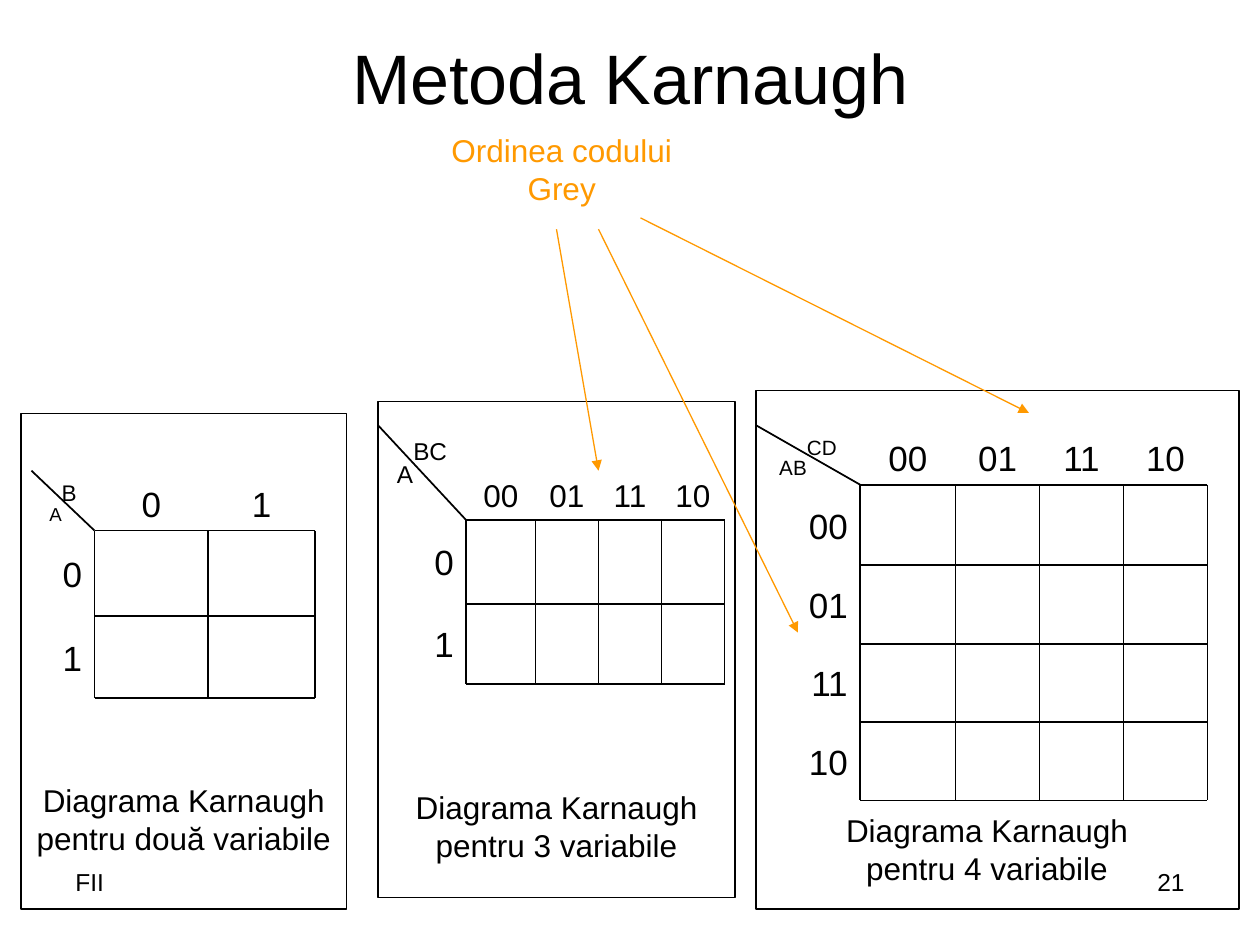
"""Build the slide on Karnaugh maps for two, three and four variables."""
from pptx import Presentation
from pptx.dml.color import RGBColor
from pptx.enum.shapes import MSO_CONNECTOR as Conn, MSO_SHAPE as Shape
from pptx.enum.text import MSO_ANCHOR as Anchor, PP_ALIGN as Align
from pptx.oxml.ns import qn
from pptx.util import Pt
from lxml.etree import SubElement

BLACK = RGBColor(0x00, 0x00, 0x00)
WHITE = RGBColor(0xFF, 0xFF, 0xFF)
ORANGE = RGBColor(0xFF, 0x99, 0x00)

deck = Presentation()
deck.slide_width, deck.slide_height = Pt(720), Pt(540)
slide = deck.slides.add_slide(deck.slide_layouts[6])
shapes = slide.shapes


def write(box, runs, align=Align.CENTER, anchor=Anchor.TOP, color=BLACK, before=0, spacing=None):
    frame = shapes.add_textbox(*map(Pt, box)).text_frame
    frame.word_wrap = True
    frame.vertical_anchor = anchor
    para = frame.paragraphs[0]
    para.alignment = align
    para.space_before = Pt(before)
    if spacing:
        para.line_spacing = spacing
    for text, size, shift in runs:
        run = para.add_run()
        run.text = text
        run.font.name = "Arial"
        run.font.size = Pt(size)
        run.font.color.rgb = color
        if shift:
            run.font._element.set("baseline", str(shift * 1000))


def draw(x1, y1, x2, y2, color=BLACK, width=1, arrow=False):
    line = shapes.add_connector(Conn.STRAIGHT, Pt(x1), Pt(y1), Pt(x2), Pt(y2))
    line.line.color.rgb = color
    line.line.width = Pt(width)
    if arrow:
        SubElement(line.line._get_or_add_ln(), qn("a:tailEnd"), type="triangle")
    SubElement(line._element.spPr, qn("a:effectLst"))


write((36, 21.6, 648, 43.9), [("Metoda Karnaugh", 40, 0)], anchor=Anchor.MIDDLE)

maps = [
    dict(frame=(216, 229.5, 204, 283.5), xs=[216, 266.4, 306, 342, 378, 414],
         ys=[243, 297.2, 345, 390.8], cols=["00", "01", "11", "10"], rows=["0", "1"],
         size=18, corner=[("A", 24, -25), ("BC", 24, 30)], spacing=None,
         note="Diagrama Karnaugh pentru 3 variabile", place=(222, 447, 192, 50.4)),
    dict(frame=(12, 236.2, 186, 283.2), xs=[18, 54, 119, 180],
         ys=[269, 303.2, 352.2, 399], cols=["0", "1"], rows=["0", "1"],
         size=20, corner=[("A", 18.5, -25), ("B", 22.2, 30)], spacing=0.9,
         note="Diagrama Karnaugh pentru două variabile", place=(12, 442.8, 186, 50.4)),
    dict(frame=(432, 223, 276, 296.5), xs=[432, 491.5, 546, 594, 642, 690],
         ys=[243, 277, 323, 367.8, 412.6, 457.4], cols=["00", "01", "11", "10"],
         rows=["00", "01", "11", "10"],
         size=20, corner=[("AB", 20.4, -25), ("CD", 20.4, 30)], spacing=0.9,
         note="Diagrama Karnaugh pentru 4 variabile", place=(450, 460, 228, 50.4)),
]

for kmap in maps:
    xs, ys = kmap["xs"], kmap["ys"]
    left, top, right, base = xs[1], ys[1], xs[-1], ys[-1]
    size = kmap["size"]
    spans = list(zip(xs[1:], xs[2:]))
    bands = list(zip(ys[1:], ys[2:]))

    cells = [(x, y, x2 - x, y2 - y) for y, y2 in bands for x, x2 in spans]
    for box in [kmap["frame"]] + cells:
        rect = shapes.add_shape(Shape.RECTANGLE, *map(Pt, box))
        rect.shadow.inherit = False
        rect.fill.solid()
        rect.fill.fore_color.rgb = WHITE
        if box == kmap["frame"]:
            rect.line.color.rgb = BLACK
            rect.line.width = Pt(0.75)
        else:
            rect.line.fill.background()

    write((xs[0], ys[0], left - xs[0], top - ys[0]), kmap["corner"],
          before=6, spacing=kmap["spacing"])
    for (x, x2), code in zip(spans, kmap["cols"]):
        write((x, ys[0], x2 - x, top - ys[0]), [(code, size, 0)],
              anchor=Anchor.BOTTOM, before=size / 4)
    for (y, y2), code in zip(bands, kmap["rows"]):
        write((xs[0], y, left - xs[0], y2 - y), [(code, 20, 0)],
              align=Align.RIGHT, anchor=Anchor.MIDDLE, before=5)

    draw(xs[0], ys[0], left, top)
    for x in xs[1:]:
        draw(x, top, x, base)
    for y in ys[1:]:
        draw(left, y, right, y)
    write(kmap["place"], [(kmap["note"], 18, 0)], before=11.2)

for ends in [(318, 131, 342, 269), (366, 124.5, 588, 236), (342, 131, 456, 361.5)]:
    draw(*ends, color=ORANGE, width=0.75, arrow=True)
write((246, 71.3, 150, 50.4), [("Ordinea codului Grey", 18, 0)], color=ORANGE, before=11.2)

write((516, 492, 168, 37.5), [("21", 14, 0)], align=Align.RIGHT)
write((36, 492, 168, 37.5), [("FII", 14, 0)], align=Align.LEFT)

deck.save("out.pptx")
